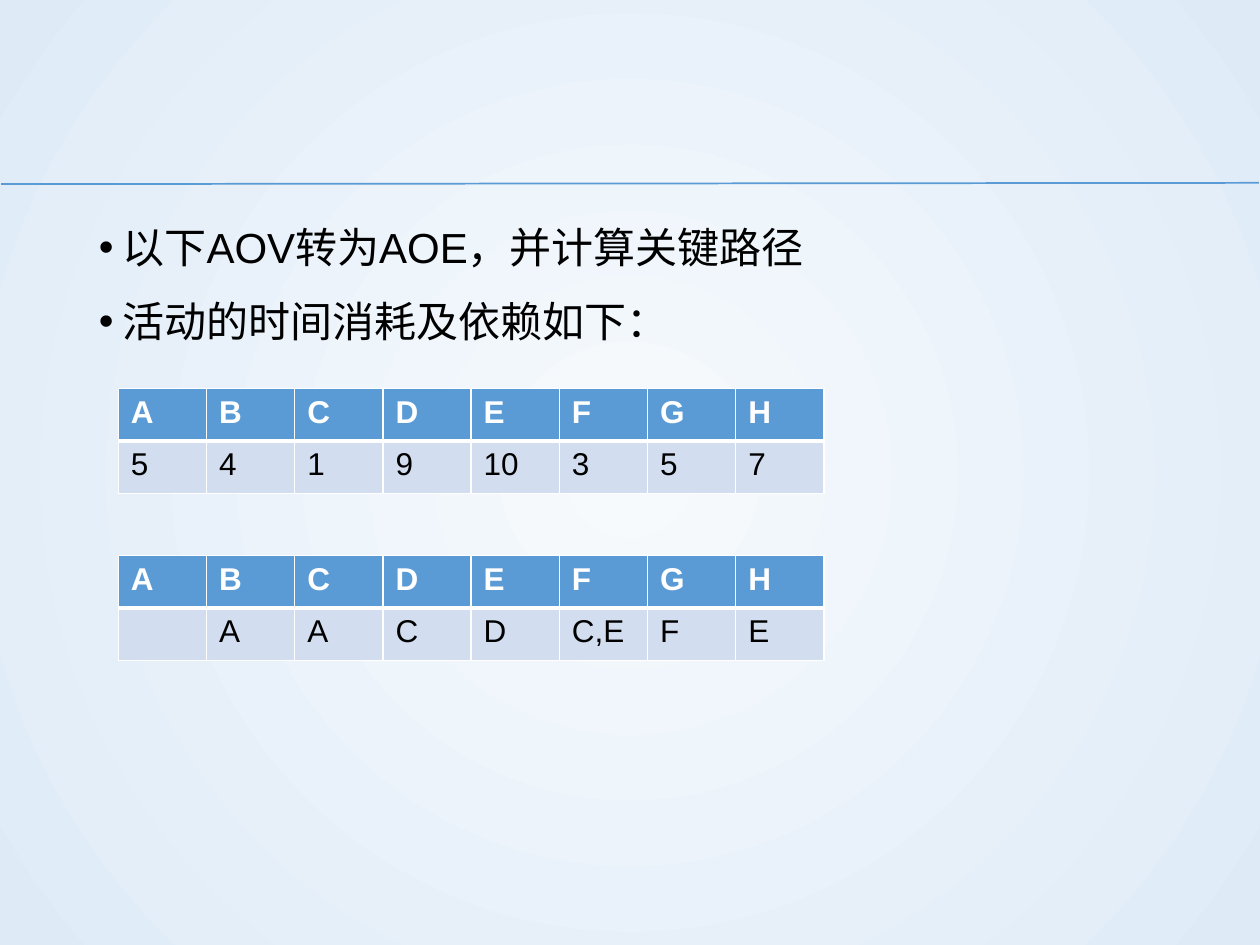
from lxml import etree
from pptx import Presentation
from pptx.dml.color import RGBColor
from pptx.enum.shapes import MSO_CONNECTOR
from pptx.oxml.ns import qn
from pptx.util import Pt

STRAIGHT = MSO_CONNECTOR.STRAIGHT
FONT = "Arial"
BLUE, PALE, WHITE, BLACK = "5B9BD5", "D2DEEF", "FFFFFF", "000000"
CENTRE, EDGE = "F7FAFD", "DEEBF7"

BULLETS = ["以下AOV转为AOE，并计算关键路径", "活动的时间消耗及依赖如下："]
ACTIVITIES = list("ABCDEFGH")
DURATIONS = ["5", "4", "1", "9", "10", "3", "5", "7"]
DEPENDENCIES = ["", "A", "A", "C", "D", "C,E", "F", "E"]


def color(hex_string):
    return RGBColor.from_string(hex_string)


def write(para, text, size=18, ink=BLACK, bold=False):
    span = para.add_run()
    span.text = text
    span.font.name = FONT
    span.font.size = Pt(size)
    span.font.bold = bold
    span.font.color.rgb = color(ink)


def paint_background(page):
    """Fill the page with a circular gradient from its centre."""
    fill = page.background.fill
    fill.gradient()
    for stop, shade, position in zip(fill.gradient_stops, (CENTRE, EDGE), (0, 1)):
        stop.color.rgb = color(shade)
        stop.position = position
    gradient = page.element.find(".//" + qn("a:gradFill"))
    gradient.remove(gradient.find(qn("a:lin")))
    circle = etree.SubElement(gradient, qn("a:path"), path="circle")
    etree.SubElement(circle, qn("a:fillToRect"),
                     {side: "50000" for side in "ltrb"})


def add_rule(page, left, top, right, bottom):
    rule = page.shapes.add_connector(
        STRAIGHT, Pt(left), Pt(top), Pt(right), Pt(bottom))
    rule.line.color.rgb = color(BLUE)
    rule.line.width = Pt(1)
    etree.SubElement(rule._element.spPr, qn("a:effectLst"))


def add_bullets(page, left, top, width, height, lines, indent=13.5):
    box = page.shapes.add_textbox(Pt(left), Pt(top), Pt(width), Pt(height))
    frame = box.text_frame
    frame.word_wrap = True
    for index, line in enumerate(lines):
        para = frame.add_paragraph() if index else frame.paragraphs[0]
        para.line_spacing = 1.2
        para.space_before = Pt(7.5)
        properties = para._p.get_or_add_pPr()
        properties.set("marL", str(Pt(indent)))
        properties.set("indent", str(-Pt(indent)))
        etree.SubElement(properties, qn("a:buFont"), typeface=FONT)
        etree.SubElement(properties, qn("a:buChar"), char="•")
        write(para, line, size=24)


def add_borders(cell, **widths):
    """Draw white borders; widths are given by side: L, R, T, B."""
    properties = cell._tc.get_or_add_tcPr()
    for side, width in widths.items():
        border = etree.SubElement(properties, qn(f"a:ln{side}"), w=str(Pt(width)))
        solid = etree.SubElement(border, qn("a:solidFill"))
        etree.SubElement(solid, qn("a:srgbClr"), val=WHITE)


def add_activity_table(page, left, top, width, height, values):
    rows = [ACTIVITIES, values]
    table = page.shapes.add_table(
        len(rows), len(ACTIVITIES), Pt(left), Pt(top), Pt(width), Pt(height)).table
    for row, texts in enumerate(rows):
        header = row == 0
        for column, text in enumerate(texts):
            cell = table.cell(row, column)
            add_borders(cell, L=1, R=1, T=1 if header else 3, B=3 if header else 1)
            cell.fill.solid()
            cell.fill.fore_color.rgb = color(BLUE if header else PALE)
            if text:
                write(cell.text_frame.paragraphs[0], text,
                      ink=WHITE if header else BLACK, bold=header)


def main():
    deck = Presentation()
    deck.slide_width, deck.slide_height = Pt(720), Pt(540)
    page = deck.slides.add_slide(deck.slide_layouts[6])
    paint_background(page)
    add_rule(page, 0.7, 105.2, 719.3, 104.5)
    add_bullets(page, 49.5, 117.5, 621, 369.5, BULLETS)
    for top, values in ((222, DURATIONS), (317.5, DEPENDENCIES)):
        add_activity_table(page, 67.6, top, 403.2, 60, values)
    deck.save("out.pptx")


if __name__ == "__main__":
    main()
